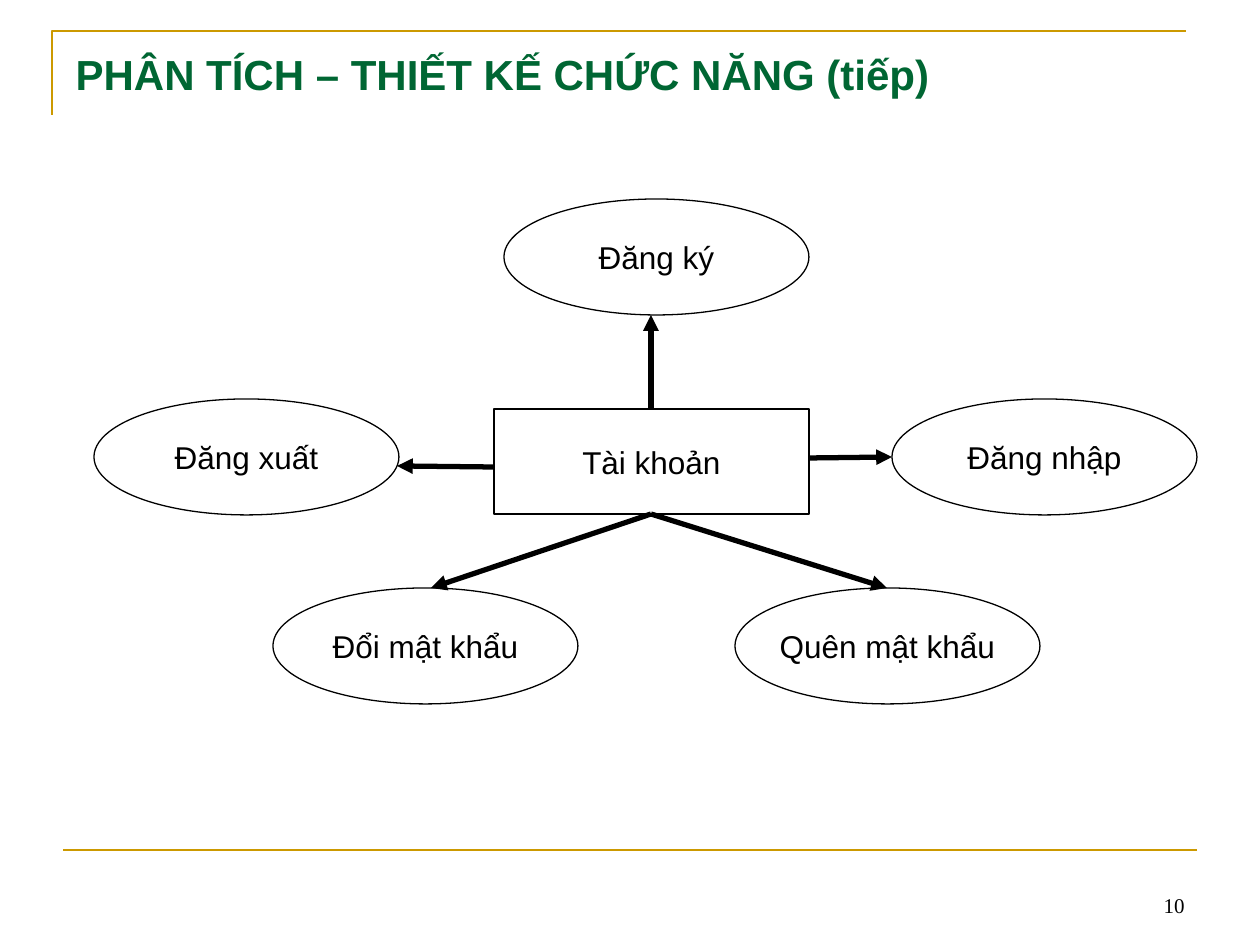
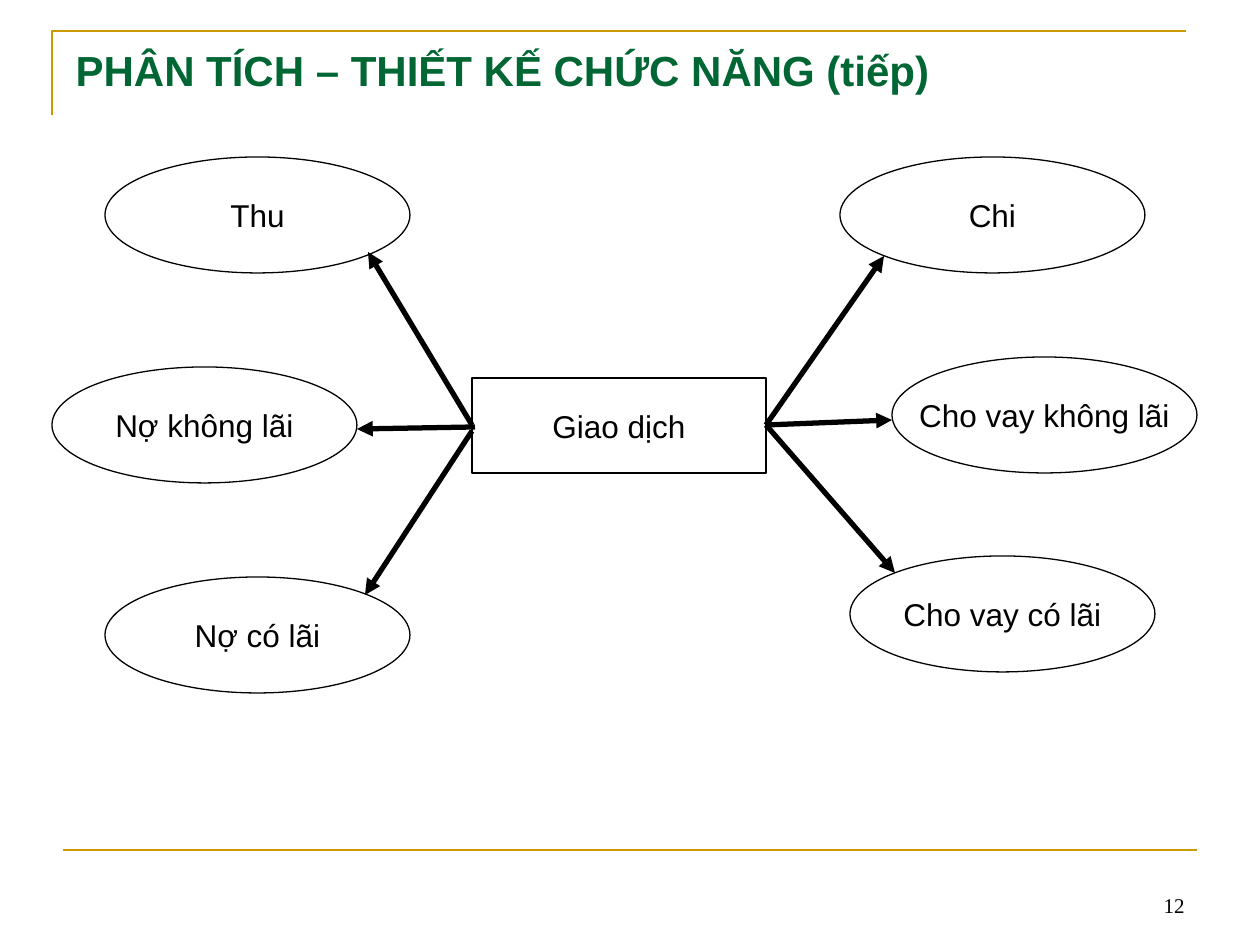
from lxml.etree import SubElement
from pptx import Presentation
from pptx.dml.color import RGBColor
from pptx.enum.shapes import MSO_CONNECTOR, MSO_SHAPE
from pptx.enum.text import MSO_ANCHOR, MSO_AUTO_SIZE, PP_ALIGN
from pptx.oxml.ns import qn
from pptx.util import Emu, Pt

COLORS = {"title": "006633", "frame": "CC9900", "ink": "000000", "paper": "FFFFFF"}
TITLE = "PHÂN TÍCH – THIẾT KẾ CHỨC NĂNG (tiếp)"
OVAL_SIZE = (305, 116)

# Each branch: label, oval left and top, arrow start, arrow end (px)
DIAGRAMS = [
    {
        "number": "10",
        "title_top": 42,
        "center": ("Tài khoản", (494, 409, 315, 105)),
        "branches": [
            ("Đăng xuất", (94, 399), (494, 467), (397, 466)),
            ("Đăng ký", (504, 199), (651, 408), (651, 315)),
            ("Đăng nhập", (892, 399), (809, 458), (892, 457)),
            ("Quên mật khẩu", (735, 588), (651, 514), (887, 588)),
            ("Đổi mật khẩu", (273, 588), (651, 514), (431, 588)),
        ],
    },
    {
        "number": "12",
        "title_top": 38,
        "center": ("Giao dịch", (472, 378, 294, 95)),
        "branches": [
            ("Chi", (840, 157), (766, 425), (884, 256)),
            ("Thu", (105, 157), (472, 425), (368, 252)),
            ("Nợ không lãi", (52, 367), (475, 427), (357, 429)),
            ("Nợ có lãi", (105, 577), (472, 431), (365, 595)),
            ("Cho vay có lãi", (850, 556), (766, 425), (895, 573)),
            ("Cho vay không lãi", (892, 357), (766, 425), (892, 420)),
        ],
    },
]


def px(length):
    return Emu(round(length * 914400 / 126))


def scaled(*lengths):
    return [px(length) for length in lengths]


def color(name):
    return RGBColor.from_string(COLORS[name])


def format_text(shape, size, color_name, align, anchor, font="Arial", bold=False, wrap=True):
    frame = shape.text_frame
    frame.auto_size = MSO_AUTO_SIZE.NONE
    frame.word_wrap = wrap
    frame.vertical_anchor = anchor
    paragraph = frame.paragraphs[0]
    paragraph.alignment = align
    for run in paragraph.runs:
        run.font.size = Pt(size)
        run.font.name = font
        run.font.bold = bold
        run.font.color.rgb = color(color_name)


def set_line(shape, color_name, width):
    shape.line.color.rgb = color(color_name)
    shape.line.width = Pt(width)


def add_line(slide, start, end, color_name, width, arrow=False):
    connector = slide.shapes.add_connector(MSO_CONNECTOR.STRAIGHT, *scaled(*start, *end))
    set_line(connector, color_name, width)
    if arrow:
        SubElement(connector.line._get_or_add_ln(), qn("a:tailEnd"), type="triangle")
    SubElement(connector._element.spPr, qn("a:effectLst"))


def add_frame(slide):
    """Draw the corner rule at the top and the rule above the footer."""
    builder = slide.shapes.build_freeform(*scaled(52, 115))
    builder.add_line_segments([scaled(52, 31), scaled(1186, 31)], close=False)
    corner = builder.convert_to_shape()
    corner.shadow.inherit = False
    corner.fill.background()
    set_line(corner, "frame", 1.5)
    add_line(slide, (63, 850), (1197, 850), "frame", 1.5)


def add_title(slide, top):
    title = slide.shapes.title
    title.left, title.top, title.width, title.height = scaled(63, top, 1134, 77)
    title.text_frame.text = TITLE
    format_text(title, 24, "title", PP_ALIGN.LEFT, MSO_ANCHOR.TOP, bold=True)


def add_node(slide, kind, label, box):
    node = slide.shapes.add_shape(kind, *scaled(*box))
    node.shadow.inherit = False
    node.fill.solid()
    node.fill.fore_color.rgb = color("paper")
    set_line(node, "ink", 0.75)
    node.text_frame.text = label
    format_text(node, 18, "ink", PP_ALIGN.CENTER, MSO_ANCHOR.MIDDLE, wrap=False)


def add_page_number(slide, number):
    box = slide.shapes.add_textbox(*scaled(903, 861, 294, 63))
    box.text_frame.text = number
    format_text(box, 12, "ink", PP_ALIGN.RIGHT, MSO_ANCHOR.BOTTOM, font="Times New Roman")


def add_diagram_slide(presentation, diagram):
    slide = presentation.slides.add_slide(presentation.slide_layouts.get_by_name("Title Only"))
    add_frame(slide)
    add_title(slide, diagram["title_top"])
    add_node(slide, MSO_SHAPE.FLOWCHART_PROCESS, *diagram["center"])
    for label, corner, _, _ in diagram["branches"]:
        add_node(slide, MSO_SHAPE.FLOWCHART_CONNECTOR, label, corner + OVAL_SIZE)
    for _, _, start, end in diagram["branches"]:
        add_line(slide, start, end, "ink", 3, arrow=True)
    add_page_number(slide, diagram["number"])


def main():
    presentation = Presentation()
    presentation.slide_width, presentation.slide_height = scaled(1260, 945)
    for diagram in DIAGRAMS:
        add_diagram_slide(presentation, diagram)
    presentation.save("out.pptx")


if __name__ == "__main__":
    main()
